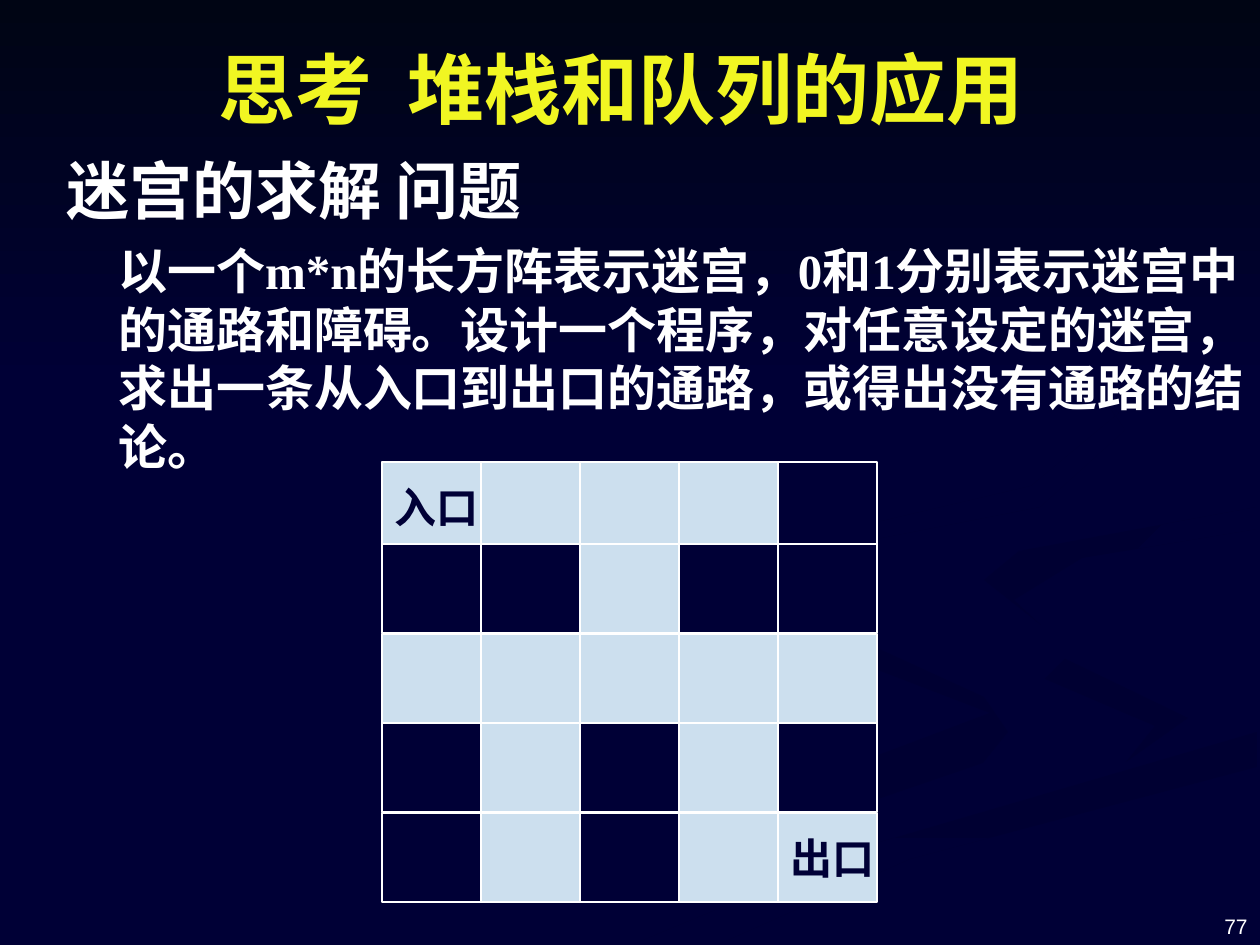
from pptx import Presentation
from pptx.dml.color import RGBColor
from pptx.enum.shapes import MSO_SHAPE
from pptx.enum.text import MSO_ANCHOR, PP_ALIGN
from pptx.util import Emu, Pt

SCALE = 914400 / 126  # EMU per px
NAVY = RGBColor(0x00, 0x00, 0x36)
DARK_NAVY = RGBColor(0x00, 0x00, 0x32)
NEAR_BLACK = RGBColor(0x00, 0x05, 0x14)
PALE_BLUE = RGBColor(0xCC, 0xDF, 0xEE)
YELLOW = RGBColor(0xF1, 0xF6, 0x22)
WHITE = RGBColor(0xFF, 0xFF, 0xFF)
SERIF = "Times New Roman"


def px(*lengths):
    return [Emu(round(length * SCALE)) for length in lengths]


def write(shape, text, size, color, font_name=SERIF, bold=True):
    """Put one paragraph of text in a shape and return the paragraph."""
    shape.text_frame.text = text
    paragraph = shape.text_frame.paragraphs[0]
    font = paragraph.font
    font.name, font.size, font.bold = font_name, Pt(size), bold
    font.color.rgb = color
    return paragraph


presentation = Presentation()
presentation.slide_width, presentation.slide_height = px(1260, 945)
slide = presentation.slides.add_slide(presentation.slide_layouts[5])
slide.background.fill.solid()
slide.background.fill.fore_color.rgb = NAVY
shapes = slide.shapes

# Faint ribbons and the dark upper band: points, first colour, last colour, angle
ribbons = [
    ([(984, 697), (724, 578), (758, 624), (990, 713), (378, 944), (455, 944),
      (983, 763), (1008, 732)], NAVY, DARK_NAVY, 0),
    ([(1188, 718), (912, 585), (984, 653), (1155, 726), (1126, 762)],
     NAVY, DARK_NAVY, 315),
    ([(634, 944), (719, 944), (910, 859), (1257, 767), (1257, 732), (877, 843)],
     DARK_NAVY, NAVY, 270),
    ([(984, 580), (1041, 625), (1014, 600), (1082, 558), (1257, 529), (1257, 507),
      (1019, 551)], DARK_NAVY, NAVY, 315),
    ([(861, 542), (1040, 507), (1125, 430), (1076, 357), (960, 294), (1119, 413),
      (1031, 486), (750, 552), (727, 582), (784, 630), (748, 586)],
     DARK_NAVY, NAVY, 315),
    ([(0, 0), (0, 388), (1260, 388), (1260, 0)], NEAR_BLACK, NAVY, 270),
]
for points, first_color, last_color, angle in ribbons:
    builder = shapes.build_freeform(*points[0], scale=SCALE)
    builder.add_line_segments(points[1:], close=True)
    ribbon = builder.convert_to_shape()
    ribbon.shadow.inherit = False
    ribbon.line.fill.background()
    ribbon.fill.gradient()
    ribbon.fill.gradient_angle = angle
    for stop, color in zip(ribbon.fill.gradient_stops, (first_color, last_color)):
        stop.color.rgb = color

# Title, raised above the upper band
title = shapes.title
shapes._spTree.append(title._element)
title.left, title.top, title.width, title.height = px(54, 20, 1134, 135)
title.text_frame.vertical_anchor = MSO_ANCHOR.MIDDLE
write(title, "思考  堆栈和队列的应用", 44, YELLOW).alignment = PP_ALIGN.CENTER

page_number = shapes.add_textbox(*px(966, 879, 294, 66))
page_number.text_frame.word_wrap = True
page_number.text_frame.vertical_anchor = MSO_ANCHOR.BOTTOM
write(page_number, "77", 12, WHITE, "Arial", False).alignment = PP_ALIGN.RIGHT

heading = shapes.add_textbox(*px(54, 145, 1176, 84))
heading.text_frame.word_wrap = True
write(heading, "迷宫的求解 问题", 36, WHITE)

problem = shapes.add_textbox(*px(43, 234, 1217, 248))
problem.text_frame.word_wrap = True
paragraph = write(
    problem,
    "以一个m*n的长方阵表示迷宫，0和1分别表示迷宫中的通路和障碍。"
    "设计一个程序，对任意设定的迷宫，求出一条从入口到出口的通路，或得出没有通路的结论。",
    28, WHITE)
paragraph._p.get_or_add_pPr().set("marL", str(px(63)[0]))

# Maze: 0 is open, 1 is blocked
maze = ["00001", "11011", "00000", "10101", "10100"]
row_tops = [462, 544, 634, 723, 813]
labels = {(0, 0): "入口", (4, 4): "出口"}
for row, (top, cells) in enumerate(zip(row_tops, maze)):
    for column, value in enumerate(cells):
        cell = shapes.add_shape(MSO_SHAPE.RECTANGLE, *px(382 + 99 * column, top, 99, 89))
        cell.shadow.inherit = False
        cell.fill.solid()
        cell.fill.fore_color.rgb = NAVY if value == "1" else PALE_BLUE
        cell.line.color.rgb = WHITE
        cell.line.width = Pt(1.5)
        if (row, column) in labels:
            cell.text_frame.word_wrap = False
            cell.text_frame.vertical_anchor = MSO_ANCHOR.MIDDLE
            write(cell, labels[row, column], 24, NAVY).alignment = PP_ALIGN.LEFT

presentation.save("out.pptx")
